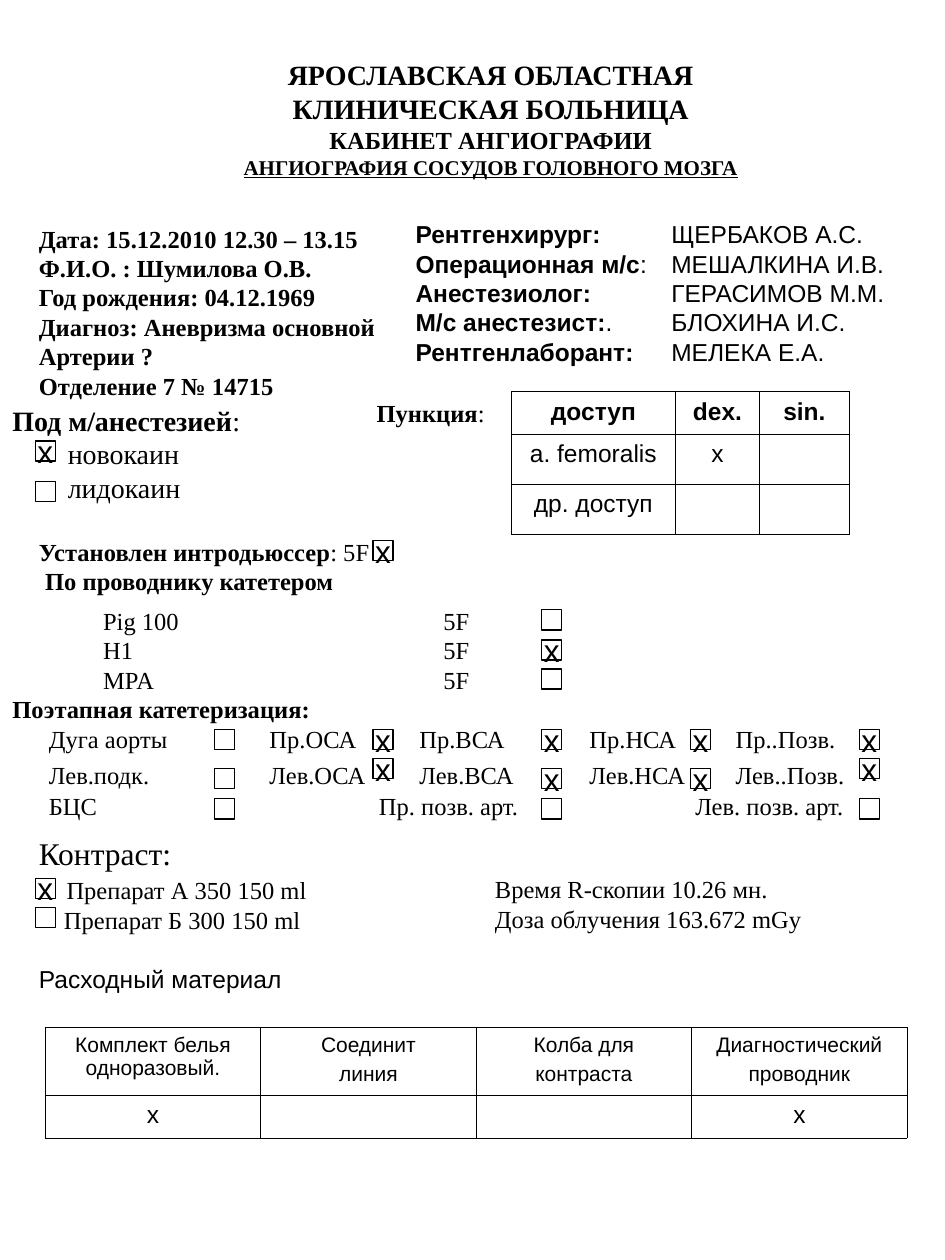
from dataclasses import dataclass

from lxml import etree
from pptx import Presentation
from pptx.dml.color import RGBColor
from pptx.enum.shapes import MSO_SHAPE
from pptx.enum.text import MSO_ANCHOR, PP_ALIGN
from pptx.oxml.ns import qn
from pptx.util import Inches, Pt

LEFT, CENTER = PP_ALIGN.LEFT, PP_ALIGN.CENTER
TOP, MIDDLE = MSO_ANCHOR.TOP, MSO_ANCHOR.MIDDLE
RECTANGLE = MSO_SHAPE.RECTANGLE


@dataclass(frozen=True)
class Theme:
    ink: RGBColor = RGBColor(0, 0, 0)
    serif: str = "Times New Roman"
    sans: str = "Arial"
    small: int = 12
    body: int = 14
    heading: int = 16
    large: int = 18
    box_line: float = 0.75
    cell_line: float = 0.45


THEME = Theme()
SLIDE_WIDTH, SLIDE_HEIGHT = 7.5, 10
MARGIN = 0.21
MARK = "х"

BOX_SIZE = 0.16
BOX_COLUMNS = {"A": 0.28, "B": 1.7, "C": 2.96, "D": 4.3, "E": 5.48, "F": 6.82}
# top of the row, columns with a mark, columns without one
BOX_ROWS = [
    (3.5, "A", ""), (3.82, "", "A"), (4.29, "C", ""),
    (4.84, "", "D"), (5.08, "D", ""), (5.31, "", "D"),
    (5.79, "CDEF", "B"), (6.02, "CF", ""), (6.1, "DE", "B"), (6.34, "", "BDF"),
    (6.97, "A", ""), (7.2, "", "A"),
]

CATHETER_TABS = (0.72, 3.42)
VESSEL_TABS = (0.29, 2.04, 3.23, 4.58, 5.74)
SIDE_VESSEL_TABS = (0.29, 2.91, 5.42)


@dataclass
class Line:
    """One paragraph; each run is a pair of text and boldness."""
    runs: list
    size: int = THEME.body
    font: str = THEME.serif
    align: int = LEFT
    underline: bool = False
    indent: float = 0
    before: float = 0
    tabs: tuple = ()


def plain(text, **look):
    return Line([(text, False)], **look)


def strong(text, **look):
    return Line([(text, True)], **look)


def labelled(label, rest, **look):
    return Line([(label, True), (rest, False)], **look)


def set_tabs(paragraph, positions):
    tab_list = etree.SubElement(paragraph._p.get_or_add_pPr(), qn("a:tabLst"))
    for position in positions:
        etree.SubElement(tab_list, qn("a:tab"), pos=str(Inches(position)), algn="l")


def write(frame, lines):
    for number, line in enumerate(lines):
        paragraph = frame.add_paragraph() if number else frame.paragraphs[0]
        if line.tabs:
            set_tabs(paragraph, line.tabs)
        if line.indent:
            paragraph._p.get_or_add_pPr().set("marL", str(Inches(line.indent)))
        if line.before:
            paragraph.space_before = Pt(line.before)
        paragraph.alignment = line.align
        for text, is_bold in line.runs:
            run = paragraph.add_run()
            run.text = text
            run.font.name = line.font
            run.font.size = Pt(line.size)
            run.font.bold = is_bold
            run.font.underline = line.underline
            run.font.color.rgb = THEME.ink


def add_text(slide, left, top, width, height, lines, anchor=TOP):
    box = slide.shapes.add_textbox(*map(Inches, (left, top, width, height)))
    frame = box.text_frame
    frame.word_wrap = True
    frame.vertical_anchor = anchor
    write(frame, lines)


def add_checkbox(slide, column, top, is_marked):
    box = slide.shapes.add_shape(
        RECTANGLE, Inches(BOX_COLUMNS[column]), Inches(top), Inches(BOX_SIZE), Inches(BOX_SIZE))
    box.shadow.inherit = False
    box.fill.background()
    box.line.color.rgb = THEME.ink
    box.line.width = Pt(THEME.box_line)
    if is_marked:
        box.text_frame.word_wrap = False
        box.text_frame.vertical_anchor = MIDDLE
        write(box.text_frame, [plain(MARK, size=THEME.large, font=THEME.sans, align=CENTER)])


def outline(cell):
    properties = cell._tc.get_or_add_tcPr()
    for position, side in enumerate(("a:lnL", "a:lnR", "a:lnT", "a:lnB")):
        border = etree.Element(qn(side), w=str(Pt(THEME.cell_line)))
        fill = etree.SubElement(border, qn("a:solidFill"))
        etree.SubElement(fill, qn("a:srgbClr"), val=str(THEME.ink))
        properties.insert(position, border)


def add_grid(slide, left, top, widths, heights, rows, head_size, head_bold):
    """Table with a head row; a line break in a cell starts a new paragraph."""
    frame = slide.shapes.add_table(
        len(rows), len(widths), Inches(left), Inches(top),
        Inches(sum(widths)), Inches(sum(heights)))
    table = frame.table
    table.first_row = table.horz_banding = False
    for column, width in zip(table.columns, widths):
        column.width = Inches(width)
    for r, (texts, height) in enumerate(zip(rows, heights)):
        table.rows[r].height = Inches(height)
        size = THEME.body if r else head_size
        for c, text in enumerate(texts):
            cell = table.cell(r, c)
            cell.fill.background()
            outline(cell)
            if text:
                write(cell.text_frame, [
                    Line([(part, head_bold and r == 0)], size=size, font=THEME.sans,
                         align=CENTER, before=3 if n else 0)
                    for n, part in enumerate(text.split("\n"))])
            else:
                end = cell.text_frame.paragraphs[0]._p.get_or_add_endParaRPr()
                end.set("sz", str(size * 100))


def add_heading_and_people(slide):
    add_text(slide, 0.52, 0.2, 0.9 * SLIDE_WIDTH, 1.48, [
        strong("ЯРОСЛАВСКАЯ ОБЛАСТНАЯ", size=THEME.heading, align=CENTER),
        strong("КЛИНИЧЕСКАЯ БОЛЬНИЦА", size=THEME.heading, align=CENTER),
        strong("КАБИНЕТ АНГИОГРАФИИ", align=CENTER),
        strong("АНГИОГРАФИЯ СОСУДОВ ГОЛОВНОГО МОЗГА", size=THEME.small,
               align=CENTER, underline=True)], MIDDLE)
    patient = ["Дата: 15.12.2010 12.30 – 13.15", "Ф.И.О. : Шумилова О.В.",
               "Год рождения: 04.12.1969", "Диагноз: Аневризма основной",
               "Артерии ?", "Отделение 7 № 14715"]
    add_text(slide, MARGIN, 0.9, 3.31, 3.15, [strong(text) for text in patient], MIDDLE)
    staff = [("Рентгенхирург:", "\tЩЕРБАКОВ А.С."),
             ("Операционная м/с", ":\tМЕШАЛКИНА И.В."),
             ("Анестезиолог:", "\tГЕРАСИМОВ М.М."),
             ("М/с анестезист:", ".\tБЛОХИНА И.С."),
             ("Рентгенлаборант:", "\tМЕЛЕКА Е.А.")]
    add_text(slide, 3.2, 1.69, 4.07, 1.27, [
        labelled(role, name, font=THEME.sans, tabs=(2.03,)) for role, name in staff])


def add_procedure(slide):
    add_text(slide, 0, 3.15, 2.8, 0.9, [
        labelled("Под м/анестезией", ":", size=THEME.heading),
        plain("новокаин", size=THEME.heading, indent=0.44),
        plain("лидокаин", size=THEME.heading, indent=0.44)])
    add_text(slide, 2.89, 3.11, 1.12, 0.34, [labelled("Пункция", ":")])
    add_grid(slide, 4.06, 3.11, (1.3, 0.67, 0.71), (0.33, 0.4, 0.4), [
        ("доступ", "dex.", "sin."), ("a. femoralis", MARK, ""), ("др. доступ", "", "")],
        THEME.body, True)
    add_text(slide, MARGIN, 4.21, 6.32, 0.57, [
        labelled("Установлен интродьюcсер", ": 5F"),
        strong("По проводнику катетером", indent=0.05)])
    catheters = [plain(f"\t{name}\t5F", tabs=CATHETER_TABS) for name in ("Pig 100", "H1", "MPA")]
    add_text(slide, 0, 4.76, SLIDE_WIDTH, 1.9, catheters + [
        strong("Поэтапная катетеризация:"),
        plain("\tДуга аорты\tПр.ОСА\tПр.ВСА\tПр.НСА\tПр..Позв.", tabs=VESSEL_TABS),
        plain("\tЛев.подк.\tЛев.ОСА\tЛев.ВСА\tЛев.НСА\tЛев..Позв.",
              tabs=VESSEL_TABS, before=4),
        plain("\tБЦС\tПр. позв. арт.\tЛев. позв. арт.", tabs=SIDE_VESSEL_TABS, before=1)])


def add_consumption(slide):
    add_text(slide, MARGIN, 6.57, 3.5, 0.95, [
        plain("Контраст:", size=THEME.large),
        plain("Препарат А 350 150 ml", indent=0.22, before=2),
        plain("Препарат Б 300 150 ml", indent=0.2)])
    add_text(slide, 3.83, 6.89, 3.12, 0.57, [
        plain("Время R-скопии 10.26 мн."), plain("Доза облучения 163.672 mGy")])
    add_text(slide, MARGIN, 7.6, 6.46, 0.34, [plain("Расходный материал", font=THEME.sans)])
    add_grid(slide, 0.36, 8.15, (1.71,) * 4, (0.54, 0.34), [
        ("Комплект белья одноразовый.", "Соединит\nлиния",
         "Колба для\nконтраста", "Диагностический\nпроводник"),
        (MARK, "", "", MARK)], THEME.small, False)


def main():
    presentation = Presentation()
    presentation.slide_width = Inches(SLIDE_WIDTH)
    presentation.slide_height = Inches(SLIDE_HEIGHT)
    slide = presentation.slides.add_slide(presentation.slide_layouts[6])
    add_heading_and_people(slide)
    add_procedure(slide)
    add_consumption(slide)
    for top, marked, unmarked in BOX_ROWS:
        for column in marked + unmarked:
            add_checkbox(slide, column, top, column in marked)
    presentation.save("out.pptx")


if __name__ == "__main__":
    main()
